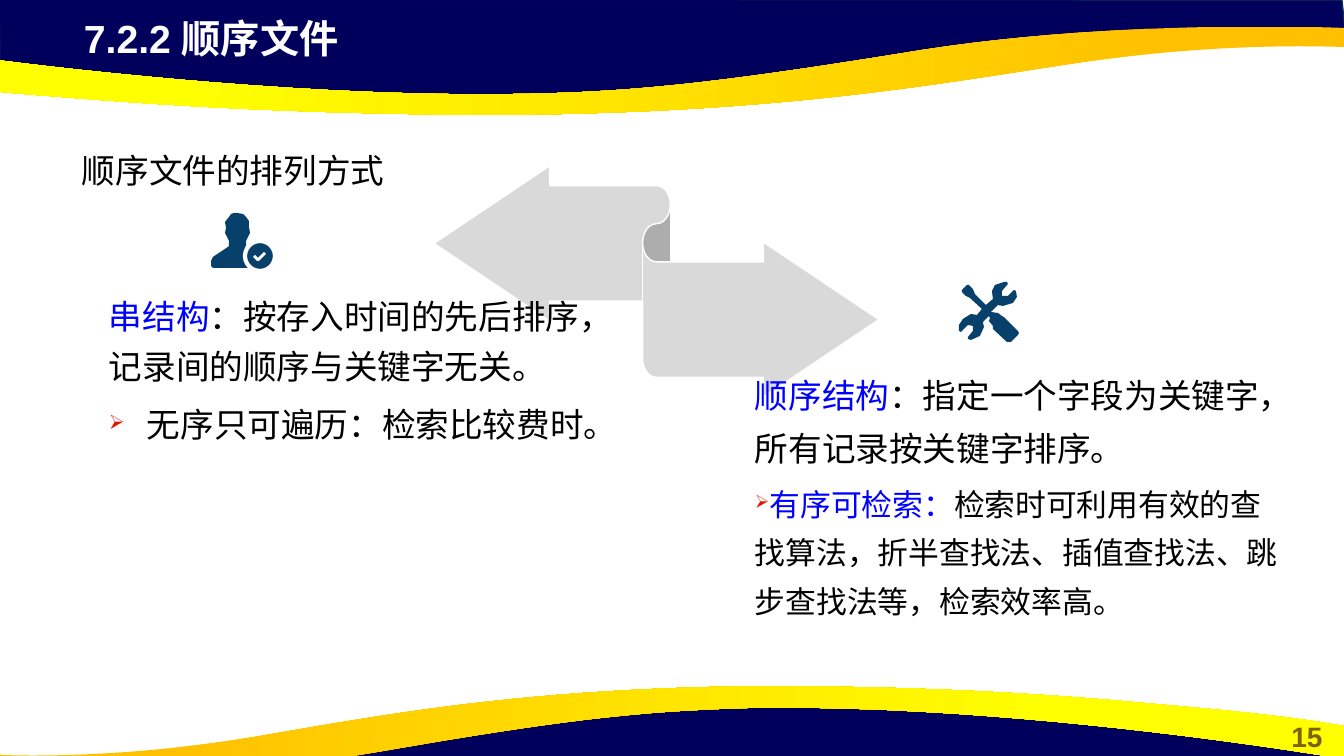
from lxml.etree import SubElement
from pptx import Presentation
from pptx.dml.color import RGBColor
from pptx.enum.shapes import MSO_SHAPE
from pptx.enum.text import PP_ALIGN
from pptx.oxml.ns import qn
from pptx.util import Pt

PX = 9071.43  # EMU per px
COLORS = {
    "navy": "00005C", "edge": "05304F", "orange": "FFC000", "yellow": "FFFF00",
    "icon": "07416B", "ribbon": "D9D9D9", "white": "FFFFFF", "black": "000000",
    "blue": "0000FF", "red": "E71101", "olive": "806000",
}
RGB = {name: RGBColor.from_string(value) for name, value in COLORS.items()}


def px(length):
    return round(length * PX)


def add_outline(steps, close=True):
    """Draw a freeform; a step of six numbers is a cubic curve, of two a line."""
    points = [steps[0]]
    for step in steps[1:]:
        if len(step) == 2:
            points.append(step)
            continue
        (x0, y0), (x1, y1, x2, y2, x3, y3) = points[-1], step
        for i in range(1, 25):
            t = i / 24
            u = 1 - t
            points.append((
                u**3 * x0 + 3 * u * u * t * x1 + 3 * u * t * t * x2 + t**3 * x3,
                u**3 * y0 + 3 * u * u * t * y1 + 3 * u * t * t * y2 + t**3 * y3))
    points = [(px(x), px(y)) for x, y in points]
    builder = slide.shapes.build_freeform(*points[0], scale=1.0)
    builder.add_line_segments(points[1:], close=close)
    outline = builder.convert_to_shape()
    outline.shadow.inherit = False
    outline.line.fill.background()
    return outline


prs = Presentation()
prs.slide_width, prs.slide_height = px(1344), px(756)
slide = prs.slides.add_slide(prs.slide_layouts[6])

# Header and footer waves: the footer band is the header band turned half round
header_band = [(-1, -1), (0, 71), (295, 103), (563, 101), (801, 89),
               (1024, 50), (1248, 33), (1346, 38), (1342, 0)]
footer_band = [(1343 - x, 799 - y) for x, y in header_band]
header_wave = [
    (487, 115), (447, 115, 404, 114, 359, 113), (208, 109, 111, 101, 36, 95),
    (-89, 85, -131, 76, -134, 76), (-134, 42), (-134, 42, 220, 99, 521, 94),
    (631, 92, 714, 84, 922, 50), (1127, 18, 1344, 28, 1344, 28), (1344, 47),
    (1341, 47), (1315, 46, 1205, 43, 1063, 65), (925, 86, 768, 114, 487, 115)]
footer_wave = [
    (778, 686), (815, 686, 854, 687, 895, 688), (1033, 692, 1121, 701, 1188, 707),
    (1302, 717, 1341, 726, 1344, 726), (1344, 759), (1344, 759, 1022, 703, 748, 708),
    (647, 711, 572, 718, 383, 751), (194, 784, -1, 774, -1, 774), (-1, 754),
    (2, 755), (25, 756, 126, 758, 254, 737), (379, 716, 523, 687, 778, 686)]
for band_points, wave_points, angle in [(header_band, header_wave, 180),
                                        (footer_band, footer_wave, 0)]:
    band = add_outline(band_points)
    band.fill.solid()
    band.fill.fore_color.rgb = RGB["navy"]
    band.line.color.rgb = RGB["edge"]
    band.line.width = Pt(1)
    wave = add_outline(wave_points)
    wave.fill.gradient()
    wave.fill.gradient_angle = angle
    for stop, position, color in zip(wave.fill.gradient_stops, (0.11, 0.78),
                                     ("orange", "yellow")):
        stop.position = position
        stop.color.rgb = RGB[color]

# Icons
person = [
    (237, 213), (243, 214), (246, 217), (249, 221), (249, 227), (250, 233),
    (248, 237), (246, 241), (246, 245), (243, 256), (249, 268), (213, 268),
    (211, 266), (211, 261), (213, 257), (228, 247), (229, 246), (229, 241),
    (227, 237), (225, 233), (226, 228), (225, 222), (229, 217), (231, 214),
    (234, 213)]
tools = [
    (1018, 331), (1005, 318), (1002, 316), (998, 313), (991, 312), (998, 305),
    (1003, 306), (1013, 303), (1017, 297), (1016, 291), (1014, 290), (1008, 296),
    (1002, 296), (1002, 291), (1008, 284), (1007, 282), (1004, 282), (995, 285),
    (992, 291), (993, 299), (986, 305), (975, 294), (973, 289), (969, 285),
    (967, 285), (962, 290), (962, 292), (966, 296), (970, 298), (982, 309),
    (977, 315), (971, 314), (963, 319), (959, 325), (959, 331), (961, 332),
    (968, 325), (973, 326), (973, 331), (968, 337), (968, 339), (971, 340),
    (980, 336), (984, 327), (983, 322), (989, 316), (990, 318), (989, 321),
    (993, 326), (993, 329), (1007, 342), (1011, 342), (1018, 335), (1019, 333)]
for icon_points in (person, tools):
    icon = add_outline(icon_points)
    icon.fill.solid()
    icon.fill.fore_color.rgb = RGB["icon"]

badge = slide.shapes.add_shape(MSO_SHAPE.OVAL, px(245), px(241), px(30), px(30))
ribbon = slide.shapes.add_shape(MSO_SHAPE.LEFT_RIGHT_RIBBON,
                                px(434), px(166), px(445), px(231))
for index, amount in enumerate((0.5, 0.5, 0.33)):
    ribbon.adjustments[index] = amount
for part, color, border in [(badge, "icon", 3), (ribbon, "ribbon", 1)]:
    part.shadow.inherit = False
    part.fill.solid()
    part.fill.fore_color.rgb = RGB[color]
    part.line.color.rgb = RGB["white"]
    part.line.width = Pt(border)

check = add_outline([(254, 256), (258, 260), (265, 253)], close=False)
check.fill.background()
check.line.color.rgb = RGB["white"]
check.line.width = Pt(2)

# Text boxes: place, then paragraphs of
# (line spacing, space before, bullet margin or None, runs of (text, size, colour, bold))
texts = [
    ((1270, 715, 74, 44), [(1, 0, None, [("15", 20, "olive", True)])]),
    ((74, 9, 774, 57), [(1, 0, None, [("7.2.2 顺序文件", 28, "white", True)])]),
    ((99, 282, 500, 251), [
        (1.23, 0, None, [("串结构", 24, "blue", False),
                         ("：按存入时间的先后排序，记录间的顺序与关键字无关。", 24, "black", False)]),
        (1.32, 3.7, 38, [("无序只可遍历：检索比较费时。", 24, "black", False)])]),
    ((745, 357, 551, 321), [
        (1.32, 0, None, [("顺序结构", 24, "blue", False),
                         ("：指定一个字段为关键字，所有记录按关键字排序。", 24, "black", False)]),
        (1.32, 3.7, 0, [("有序可检索：", 22, "blue", False),
                        ("检索时可利用有效的查找算法，折半查找法、插值查找法、"
                         "跳步查找法等，检索效率高。", 22, "black", False)])]),
    ((72, 149, 475, 44), [(0.9, 0, None, [("顺序文件的排列方式", 24, "black", False)])]),
]
for place, paragraphs in texts:
    frame = slide.shapes.add_textbox(*map(px, place)).text_frame
    frame.word_wrap = True
    for index, (spacing, before, margin, runs) in enumerate(paragraphs):
        paragraph = frame.add_paragraph() if index else frame.paragraphs[0]
        paragraph.line_spacing = spacing
        paragraph.space_before = Pt(before)
        if margin is not None:
            paragraph.level = 1
            props = paragraph._p.get_or_add_pPr()
            props.set("marL", str(px(margin)))
            props.set("indent", str(px(-38)))
            bullet_color = SubElement(props, qn("a:buClr"))
            SubElement(bullet_color, qn("a:srgbClr"), val=COLORS["red"])
            SubElement(props, qn("a:buSzPct"), val="60000")
            SubElement(props, qn("a:buChar"), char="➢")
        for text, size, color, bold in runs:
            run = paragraph.add_run()
            run.text = text
            run.font.name = "Arial"
            run.font.size = Pt(size)
            run.font.bold = bold
            run.font.color.rgb = RGB[color]
        if text == "15":
            paragraph.alignment = PP_ALIGN.CENTER

prs.save("out.pptx")
